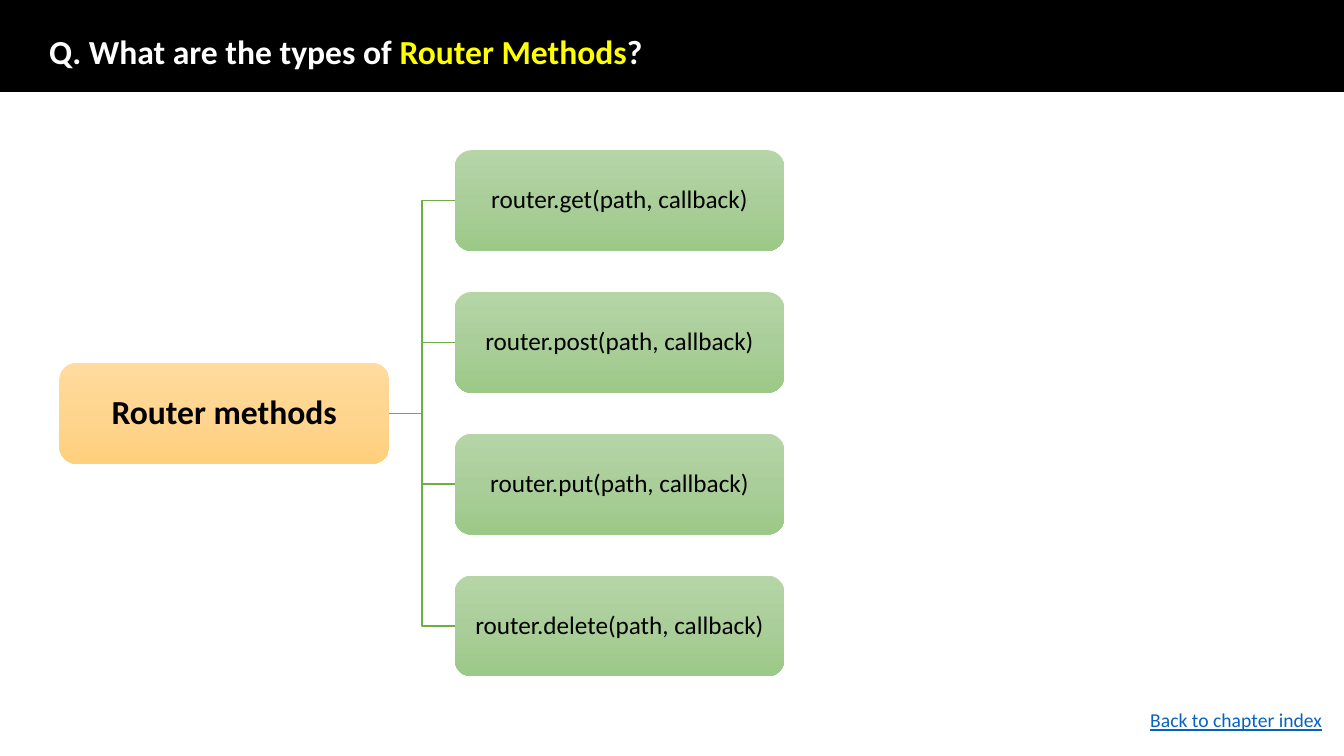
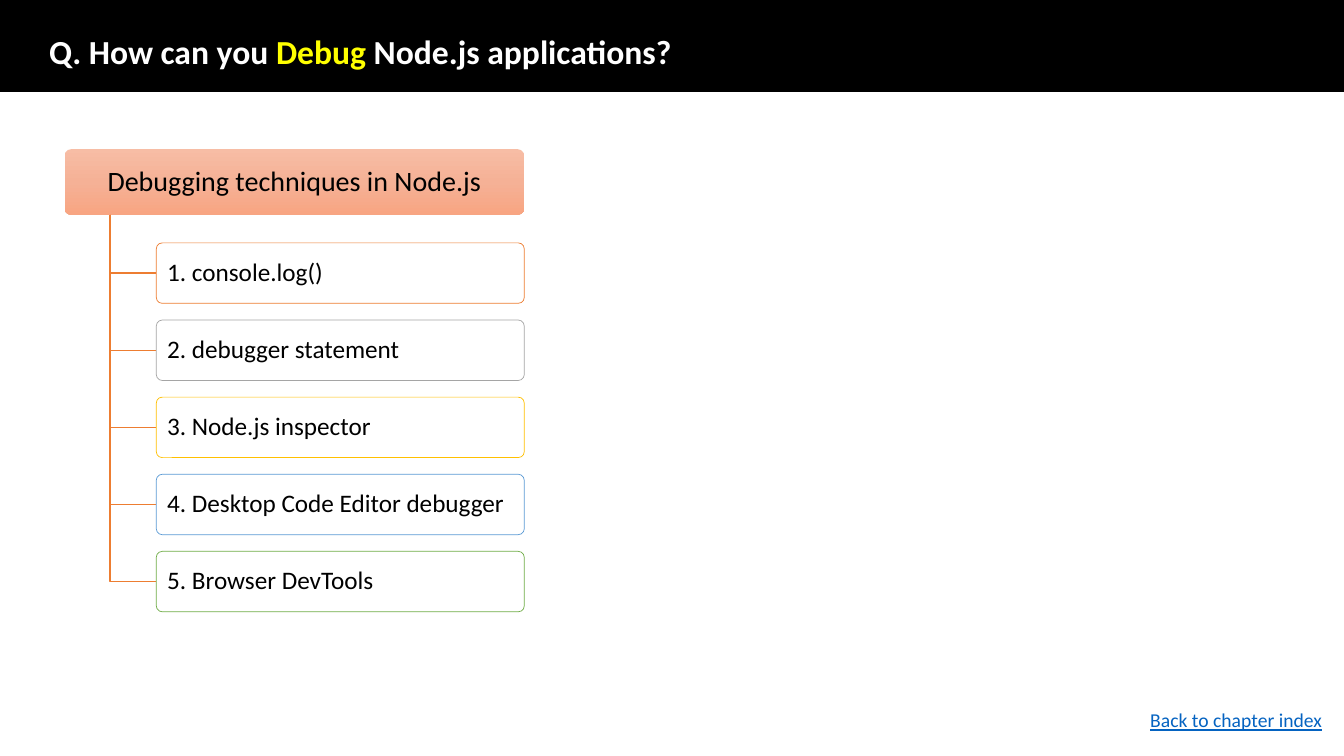
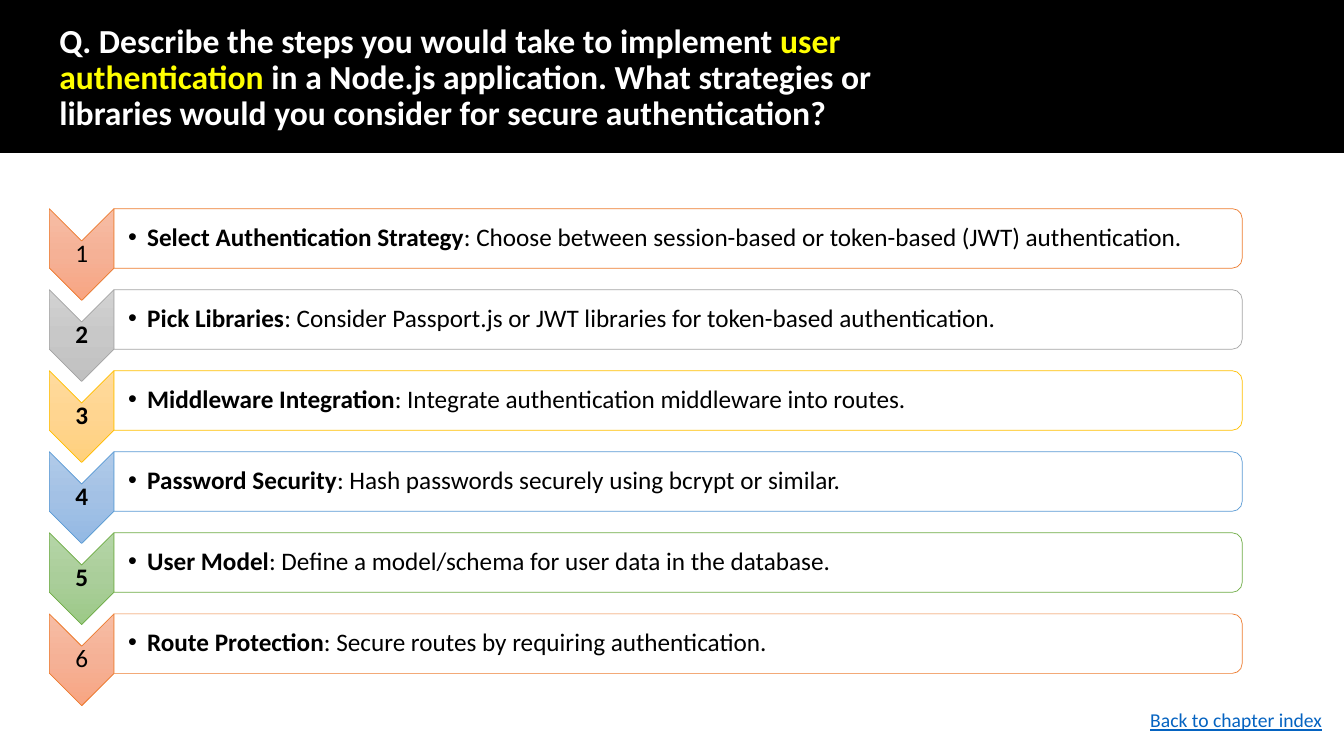
from dataclasses import dataclass
from typing import NamedTuple

from lxml.etree import SubElement as Sub
from pptx import Presentation
from pptx.dml.color import RGBColor as Rgb
from pptx.enum.shapes import MSO_CONNECTOR as Link, MSO_SHAPE as Kind
from pptx.enum.text import MSO_ANCHOR as Anchor, PP_ALIGN as Align
from pptx.oxml.ns import qn
from pptx.shapes.autoshape import Shape
from pptx.slide import Slide
from pptx.text.text import TextFrame
from pptx.util import Inches, Length, Pt

BLACK = Rgb(0x00, 0x00, 0x00)
WHITE = Rgb(0xFF, 0xFF, 0xFF)
YELLOW = Rgb(0xFF, 0xFF, 0x00)
BLUE = Rgb(0x05, 0x63, 0xC1)
FONT = "Calibri"
WIDE = 13.33


class Box(NamedTuple):
    left: float
    top: float
    wide: float
    high: float

    def place(self) -> list[Length]:
        return [Inches(side) for side in self]


class Pad(NamedTuple):
    left: float = 0.1
    top: float = 0.05
    right: float = 0.1
    base: float = 0.05


@dataclass(frozen=True)
class Run:
    text: str
    color: Rgb = BLACK
    bold: bool = False
    under: bool = False


@dataclass(frozen=True)
class Tone:
    line: Rgb
    stops: tuple[Rgb, Rgb, Rgb]


@dataclass(frozen=True)
class Step:
    name: str
    text: str
    tone: Tone
    bold: bool = True


ORANGE = Tone(Rgb(0xED, 0x7D, 0x31),
              (Rgb(0xF7, 0xBD, 0xA5), Rgb(0xF5, 0xB1, 0x96), Rgb(0xF8, 0xA5, 0x82)))
GRAY = Tone(Rgb(0xA5, 0xA5, 0xA5),
            (Rgb(0xD2, 0xD2, 0xD2), Rgb(0xC8, 0xC8, 0xC8), Rgb(0xC0, 0xC0, 0xC0)))
GOLD = Tone(Rgb(0xFF, 0xC0, 0x00),
            (Rgb(0xFF, 0xDB, 0x9E), Rgb(0xFF, 0xD5, 0x90), Rgb(0xFF, 0xD0, 0x7C)))
SKY = Tone(Rgb(0x5B, 0x9B, 0xD5),
           (Rgb(0xB1, 0xCB, 0xE9), Rgb(0xA3, 0xC1, 0xE5), Rgb(0x93, 0xB9, 0xE4)))
GREEN = Tone(Rgb(0x70, 0xAD, 0x47),
             (Rgb(0xB5, 0xD5, 0xA7), Rgb(0xAA, 0xCE, 0x9A), Rgb(0x9C, 0xC9, 0x87)))

TIGHT = Pad(0.01, 0.01, 0.01, 0.01)
TITLE = Box(0.39, 0.36, 11.5, 0.35)

CALLS = ["router.get(path, callback)", "router.post(path, callback)",
         "router.put(path, callback)", "router.delete(path, callback)"]

TOOLS = [
    ("1. console.log()", ORANGE),
    ("2. debugger statement", GRAY),
    ("3. Node.js inspector", GOLD),
    ("4. Desktop Code Editor debugger", SKY),
    ("5. Browser DevTools", GREEN),
]

STEPS = [
    Step("Select Authentication Strategy",
         ": Choose between session-based or token-based (JWT) authentication.", ORANGE, False),
    Step("Pick Libraries",
         ": Consider Passport.js or JWT libraries for token-based authentication.", GRAY),
    Step("Middleware Integration", ": Integrate authentication middleware into routes.", GOLD),
    Step("Password Security", ": Hash passwords securely using bcrypt or similar.", SKY),
    Step("User Model", ": Define a model/schema for user data in the database.", GREEN),
    Step("Route Protection", ": Secure routes by requiring authentication.", ORANGE, False),
]


def spread(first: float, last: float, count: int) -> list[float]:
    return [first + (last - first) * i / (count - 1) for i in range(count)]


def write(frame: TextFrame, runs: list[Run], size: int, align: Align = Align.LEFT,
          pad: Pad = Pad(), space: float = 0.9, dot: bool = False) -> None:
    frame.word_wrap = True
    frame.vertical_anchor = Anchor.MIDDLE
    frame.margin_left, frame.margin_top, frame.margin_right, frame.margin_bottom = (
        Inches(side) for side in pad)
    para = frame.paragraphs[0]
    if dot:
        props = para._p.get_or_add_pPr()
        props.set("marL", str(Inches(0.19)))
        props.set("indent", str(Inches(-0.19)))
        Sub(props, qn("a:buFont"), typeface="Arial")
        Sub(props, qn("a:buChar"), char="•")
    para.alignment = align
    para.line_spacing = space
    for item in runs:
        run = para.add_run()
        run.text = item.text
        font = run.font
        font.name, font.size, font.bold = FONT, Pt(size), item.bold
        font.underline = item.under
        font.color.rgb = item.color


def label(slide: Slide, box: Box, runs: list[Run], size: int, align: Align = Align.LEFT,
          pad: Pad = Pad(), space: float = 0.9, dot: bool = False) -> None:
    area = slide.shapes.add_textbox(*box.place())
    write(area.text_frame, runs, size, align, pad, space, dot)


def draw(slide: Slide, kind: Kind, box: Box, fill: Rgb | Tone,
         line: Rgb | None = None, weight: float = 0.5) -> Shape:
    shape = slide.shapes.add_shape(kind, *box.place())
    shape.shadow.inherit = False
    if isinstance(fill, Tone):
        shade(shape, fill)
    else:
        shape.fill.solid()
        shape.fill.fore_color.rgb = fill
    if line is None:
        shape.line.fill.background()
    else:
        shape.line.color.rgb = line
        shape.line.width = Pt(weight)
    return shape


def shade(shape: Shape, tone: Tone) -> None:
    shape.fill.gradient()
    grad = shape._element.spPr.find(qn("a:gradFill"))
    grad.set("rotWithShape", "0")
    grad.find(qn("a:lin")).set("ang", "5400000")
    stops = grad.find(qn("a:gsLst"))
    for old in list(stops):
        stops.remove(old)
    for i, color in enumerate(tone.stops):
        stop = Sub(stops, qn("a:gs"), pos=str(i * 50000))
        Sub(stop, qn("a:srgbClr"), val=str(color))


def clear(shape: Shape) -> None:
    color = shape._element.spPr.find(qn("a:solidFill"))[0]
    Sub(color, qn("a:alpha"), val="90000")


def elbow(slide: Slide, root: Shape, leaf: Shape, color: Rgb) -> None:
    line = slide.shapes.add_connector(Link.ELBOW, 0, 0, 0, 0)
    line.begin_connect(root, 3)
    line.end_connect(leaf, 1)
    line.line.color.rgb = color
    line.line.width = Pt(1)
    Sub(line._element.spPr, qn("a:effectLst"))


def branch(slide: Slide, left: float, top: float, right: float, base: float,
           color: Rgb) -> None:
    pen = slide.shapes.build_freeform(Inches(left), Inches(top))
    pen.add_line_segments([(Inches(left), Inches(base)), (Inches(right), Inches(base))],
                          close=False)
    shape = pen.convert_to_shape()
    shape.shadow.inherit = False
    shape.fill.background()
    shape.line.color.rgb = color
    shape.line.width = Pt(1)


def frame(slide: Slide, runs: list[Run], band: float, box: Box) -> None:
    draw(slide, Kind.RECTANGLE, Box(0, 0, WIDE, band), BLACK, BLACK, 1)
    label(slide, box, runs, 24)
    label(slide, Box(11.31, 6.97, 2.02, 0.34),
          [Run("Back to chapter index", BLUE, under=True)], 14, space=1)


def title(before: str, key: str, after: str) -> list[Run]:
    return [Run(before, WHITE, True), Run(key, YELLOW, True), Run(after, WHITE, True)]


def router(slide: Slide) -> None:
    frame(slide, title("Q. What are the types of ", "Router Methods", "?"), 0.91, TITLE)
    root = draw(slide, Kind.ROUNDED_RECTANGLE, Box(0.59, 3.6, 3.27, 1), GOLD)
    write(root.text_frame, [Run("Router methods", bold=True)], 24, Align.CENTER, TIGHT)
    for call, top in zip(CALLS, spread(1.49, 5.71, len(CALLS))):
        leaf = draw(slide, Kind.ROUNDED_RECTANGLE, Box(4.51, top, 3.27, 1), GREEN)
        write(leaf.text_frame, [Run(call)], 18, Align.CENTER, TIGHT)
        elbow(slide, root, leaf, GREEN.line)


def debug(slide: Slide) -> None:
    frame(slide, title("Q. How can you ", "Debug", " Node.js applications?"), 0.91, TITLE)
    head = draw(slide, Kind.ROUNDED_RECTANGLE, Box(0.64, 1.48, 4.56, 0.65), ORANGE)
    head.adjustments[0] = 0.1
    write(head.text_frame, [Run("Debugging techniques in Node.js")], 20, Align.CENTER, TIGHT)
    high = 0.6
    for (text, tone), top in zip(TOOLS, spread(2.41, 5.47, len(TOOLS))):
        branch(slide, 1.09, 2.13, 1.55, top + high / 2, ORANGE.line)
        leaf = draw(slide, Kind.ROUNDED_RECTANGLE, Box(1.55, top, 3.65, high), WHITE, tone.line)
        leaf.adjustments[0] = 0.1
        clear(leaf)
        write(leaf.text_frame, [Run(text)], 18, pad=Pad(0.09, 0.03, 0.04, 0.03))


def turn(slide: Slide, kind: Kind, box: Box, fill: Rgb | Tone, line: Rgb) -> Shape:
    left = box.left + (box.wide - box.high) / 2
    top = box.top + (box.high - box.wide) / 2
    shape = draw(slide, kind, Box(left, top, box.high, box.wide), fill, line)
    shape.rotation = 90
    return shape


def login(slide: Slide) -> None:
    frame(slide, title("Q. Describe the steps you would take to implement ",
                       "user authentication",
                       " in a Node.js application. What strategies or libraries would you"
                       " consider for secure authentication?"),
          1.51, Box(0.49, 0.49, 9.43, 0.58))
    for i, (step, top) in enumerate(zip(STEPS, spread(2.07, 6.09, len(STEPS))), 1):
        tone = step.tone
        turn(slide, Kind.CHEVRON, Box(0.49, top, 0.64, 0.91), tone, tone.line)
        label(slide, Box(0.49, top + 0.32, 0.64, 0.27), [Run(str(i), bold=step.bold)],
              18, Align.CENTER, TIGHT)
        bar = turn(slide, Kind.ROUND_2_SAME_RECTANGLE, Box(1.13, top, 11.19, 0.59),
                   WHITE, tone.line)
        clear(bar)
        label(slide, Box(1.13, top + 0.02, 11.16, 0.54),
              [Run(step.name, bold=True), Run(step.text)],
              18, pad=Pad(0.14, 0.01, 0.01, 0.01), dot=True)


def main() -> None:
    deck = Presentation()
    deck.slide_width, deck.slide_height = Inches(WIDE), Inches(7.5)
    for build in (router, debug, login):
        build(deck.slides.add_slide(deck.slide_layouts[6]))
    deck.save("out.pptx")


if __name__ == "__main__":
    main()
